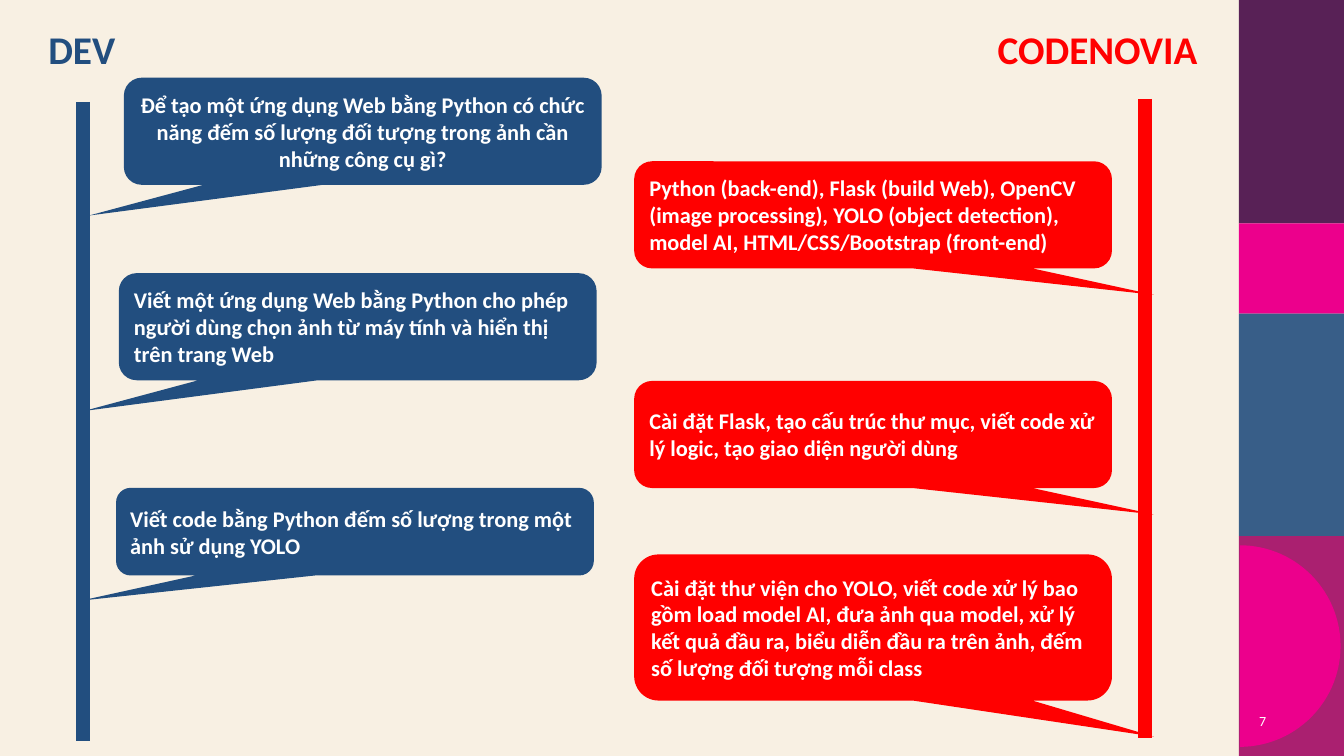
from dataclasses import dataclass
from math import cos, pi, sin

from lxml import etree
from pptx import Presentation
from pptx.dml.color import RGBColor
from pptx.enum.shapes import MSO_CONNECTOR, MSO_SHAPE
from pptx.enum.text import MSO_ANCHOR, PP_ALIGN
from pptx.oxml.ns import qn
from pptx.util import Pt

CREAM = RGBColor(0xF8, 0xF0, 0xE3)
NAVY = RGBColor(0x22, 0x4E, 0x7F)
RED = RGBColor(0xFF, 0x00, 0x00)
WHITE = RGBColor(0xFF, 0xFF, 0xFF)
PLUM = RGBColor(0x58, 0x21, 0x56)
PINK = RGBColor(0xEC, 0x00, 0x8C)
STEEL = RGBColor(0x38, 0x5E, 0x88)
BERRY = RGBColor(0xAA, 0x20, 0x70)

RECTANGLE = MSO_SHAPE.RECTANGLE
CALLOUT = MSO_SHAPE.ROUNDED_RECTANGULAR_CALLOUT
STRAIGHT = MSO_CONNECTOR.STRAIGHT
LEFT, CENTER, RIGHT = PP_ALIGN.LEFT, PP_ALIGN.CENTER, PP_ALIGN.RIGHT
TOP, MIDDLE = MSO_ANCHOR.TOP, MSO_ANCHOR.MIDDLE

BUBBLE_WIDTH = 341.3
BAND_STYLE = [(PLUM, 159.5), (PINK, 64.5), (STEEL, 159), (BERRY, 157)]


@dataclass
class Box:
    left: float
    top: float
    width: float
    height: float

    def lengths(self):
        return [Pt(value) for value in (self.left, self.top, self.width, self.height)]


def paint(shape, color):
    shape.shadow.inherit = False
    shape.fill.solid()
    shape.fill.fore_color.rgb = color
    shape.line.fill.background()


def write(shape, text, size, color, bold=True, align=LEFT, anchor=MIDDLE):
    frame = shape.text_frame
    frame.word_wrap = True
    frame.vertical_anchor = anchor
    para = frame.paragraphs[0]
    para.alignment = align
    span = para.add_run()
    span.text = text
    for name, value in {"name": "Calibri", "size": Pt(size), "bold": bold}.items():
        setattr(span.font, name, value)
    span.font.color.rgb = color


def draw_sidebar(page, box):
    top = box.top
    for color, height in BAND_STYLE:
        band = Box(box.left, top, box.width, height)
        paint(page.shapes.add_shape(RECTANGLE, *band.lengths()), color)
        top += height

    radius, steps = 72, 60
    center_left, center_top = box.left + 0.6, box.top + 461.5
    angles = [pi * step / steps - pi / 2 for step in range(steps + 1)]
    arc = [(Pt(center_left + radius * cos(angle)), Pt(center_top + radius * sin(angle)))
           for angle in angles]
    builder = page.shapes.build_freeform(*arc[0])
    builder.add_line_segments(arc[1:], close=True)
    paint(builder.convert_to_shape(), PINK)

    number = Box(box.left - 9.4, box.top + 500.4, 36, 28.8)
    write(page.shapes.add_textbox(*number.lengths()), "7", 10, WHITE, False, RIGHT)


def draw_timeline(page, box, color, line_left):
    ends = (box.left + line_left, box.top), (box.left + line_left, box.top + box.height)
    line = page.shapes.add_connector(STRAIGHT, *[Pt(value) for end in ends for value in end])
    line.line.color.rgb = color
    line.line.width = Pt(10)
    etree.SubElement(line._element.spPr, qn("a:effectLst"))


def draw_speaker(page, box, title, title_box, color, line_left, tail, bubbles):
    draw_timeline(page, box, color, line_left)
    heading = Box(box.left + title_box.left, title_box.top, title_box.width, title_box.height)
    write(page.shapes.add_textbox(*heading.lengths()), title, 28, color, anchor=TOP)
    for left, top, height, align, text in bubbles:
        place = Box(box.left + left, box.top + top, BUBBLE_WIDTH, height)
        bubble = page.shapes.add_shape(CALLOUT, *place.lengths())
        for index, value in enumerate(tail):
            bubble.adjustments[index] = value
        paint(bubble, color)
        write(bubble, text, 16, WHITE, align=align)


def main():
    deck = Presentation()
    deck.slide_width, deck.slide_height = Pt(960), Pt(540)
    page = deck.slides.add_slide(deck.slide_layouts[6])
    page.background.fill.solid()
    page.background.fill.fore_color.rgb = CREAM

    draw_sidebar(page, Box(885, 0, 75, 540))
    draw_speaker(
        page, Box(27.4, 72.7, 402.4, 456.5), "DEV", Box(0, 14.4, 115.2, 41.2),
        NAVY, 32, (-0.573, 0.787, 0.167),
        [(61.1, -17.2, 76.5, CENTER,
          "Để tạo một ứng dụng Web bằng Python có chức năng đếm số lượng "
          "đối tượng trong ảnh cần những công cụ gì?"),
         (57.5, 122.4, 76.5, LEFT,
          "Viết một ứng dụng Web bằng Python cho phép người dùng chọn ảnh "
          "từ máy tính và hiển thị trên trang Web"),
         (55.5, 275.8, 62.6, LEFT,
          "Viết code bằng Python đếm số lượng trong một ảnh sử dụng YOLO")])
    draw_speaker(
        page, Box(453, 70.6, 430.5, 456.5), "CODENOVIA", Box(252.6, 14.4, 177.9, 41.2),
        RED, 365, (0.588, 0.747, 0.167),
        [(0, 44.6, 76.5, LEFT,
          "Python (back-end), Flask (build Web), OpenCV (image processing), "
          "YOLO (object detection), model AI, HTML/CSS/Bootstrap (front-end)"),
         (0, 201.5, 76.5, LEFT,
          "Cài đặt Flask, tạo cấu trúc thư mục, viết code xử lý logic, "
          "tạo giao diện người dùng"),
         (0, 325.4, 104.4, LEFT,
          "Cài đặt thư viện cho YOLO, viết code xử lý bao gồm load model AI, "
          "đưa ảnh qua model, xử lý kết quả đầu ra, biểu diễn đầu ra trên ảnh, "
          "đếm số lượng đối tượng mỗi class")])
    deck.save("out.pptx")


if __name__ == "__main__":
    main()
